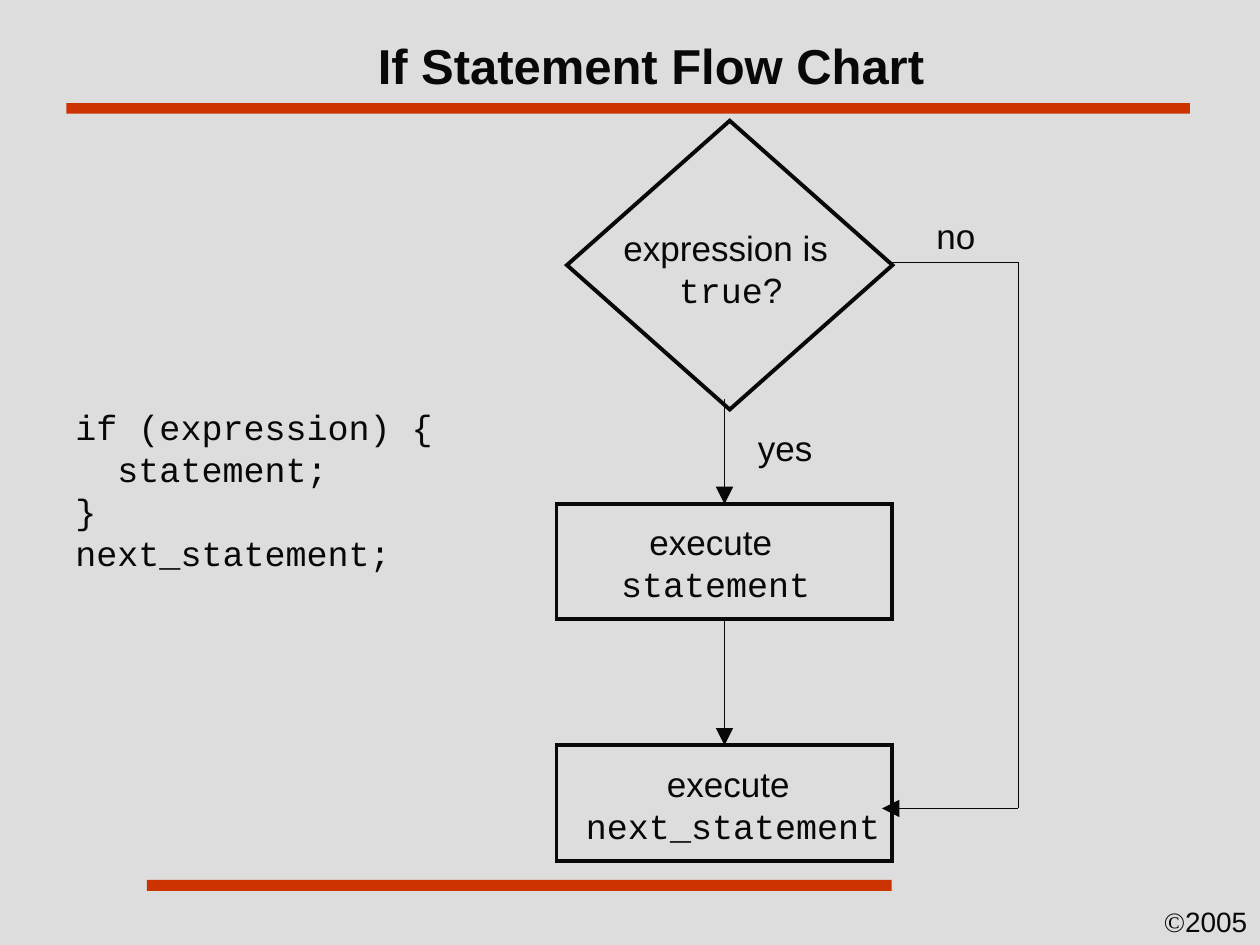
from lxml import etree
from pptx import Presentation
from pptx.dml.color import RGBColor
from pptx.enum import shapes, text
from pptx.oxml import ns
from pptx.util import Pt

INK = RGBColor(0x08, 0x08, 0x08)
RED = RGBColor(0xCC, 0x33, 0x00)
GREY = RGBColor(0xDD, 0xDD, 0xDD)
SANS, MONO = "Arial", "Courier New"
LEFT, MID = text.PP_ALIGN.LEFT, text.PP_ALIGN.CENTER


def style(run, face, size, bold=False):
    font = run.font
    font.name, font.size, font.bold = face, Pt(size), bold
    font.color.rgb = INK


def label(slide, box, lines, size=20, align=LEFT, wrap=True):
    frame = slide.shapes.add_textbox(*map(Pt, box)).text_frame
    frame.word_wrap = wrap
    for i, runs in enumerate(lines):
        para = frame.add_paragraph() if i else frame.paragraphs[0]
        para.alignment = align
        for words, face in runs:
            run = para.add_run()
            run.text = words
            style(run, face, size)


def block(slide, kind, box, fill=None):
    shape = slide.shapes.add_shape(kind, *map(Pt, box))
    shape.shadow.inherit = False
    if fill is not None:
        shape.fill.solid()
        shape.fill.fore_color.rgb = fill
        shape.line.fill.background()
    else:
        shape.fill.background()
        shape.line.color.rgb = INK
        shape.line.width = Pt(2.25)
        join = etree.SubElement(shape.line._get_or_add_ln(), ns.qn("a:miter"))
        join.set("lim", "800000")


def link(slide, start, end, width=1, arrow=False):
    line = slide.shapes.add_connector(
        shapes.MSO_CONNECTOR.STRAIGHT, *map(Pt, (*start, *end)))
    line.line.color.rgb = INK
    line.line.width = Pt(width)
    if arrow:
        tail = etree.SubElement(line.line._get_or_add_ln(), ns.qn("a:tailEnd"))
        for key, val in (("type", "triangle"), ("w", "lg"), ("len", "lg")):
            tail.set(key, val)
    etree.SubElement(line._element.spPr, ns.qn("a:effectLst"))


def header(slide, box):
    x, y, w, h = box
    title = slide.shapes.title
    title.left, title.top, title.width, title.height = map(Pt, (x + 13, y, w, h))
    frame = title.text_frame
    frame.text = "If Statement Flow Chart"
    frame.auto_size = text.MSO_AUTO_SIZE.NONE
    frame.vertical_anchor = text.MSO_ANCHOR.MIDDLE
    frame.paragraphs[0].alignment = MID
    style(frame.paragraphs[0].runs[0], SANS, 28, True)
    block(slide, shapes.MSO_SHAPE.RECTANGLE, (x, y + 42.5, w, 6), RED)


def footer(slide, box):
    x, y, w, h = box
    label(slide, (x + w - 62, y + h - 26.5, 62, 26.5),
          [[("©", "Times New Roman"), ("2005", SANS)]], 16, wrap=False)
    block(slide, shapes.MSO_SHAPE.RECTANGLE, (x, y, 425.5, 6.3), RED)


def chart(slide, box):
    x, y, w, h = box
    wide, tall = 192, 66
    mid, side, edge = x + wide / 2, x + wide, x + w
    first, last = y + 219, y + h - tall
    block(slide, shapes.MSO_SHAPE.DIAMOND, (x + 6, y, 186, 165))
    for top in (first, last):
        block(slide, shapes.MSO_SHAPE.RECTANGLE, (x, top, wide, tall))
    for spot, lines in (
        ((x + 31, y + 57, 137, 55),
         [[("expression is ", SANS)], [("true", MONO), ("?", SANS)]]),
        ((x + 25, first + 6, 132, 55),
         [[("execute ", SANS)], [("statement", MONO)]]),
        ((x + 7.5, last + 6, 187, 55),
         [[("execute ", SANS)], [("next_statement", MONO)]]),
    ):
        label(slide, spot, lines, align=MID, wrap=False)
    link(slide, (mid, y + 159), (mid, first), arrow=True)
    link(slide, (mid, first + tall), (mid, last), arrow=True)
    high, low = y + 81, last + 36
    link(slide, (side, high), (edge, high))
    link(slide, (edge, high), (edge, low), 0.75)
    link(slide, (edge, low), (side - 6, low), 0.75, True)
    label(slide, (x + 108, y + 171, 60, 32), [[("yes", SANS)]])
    label(slide, (x + 210, y + 50, 42, 32), [[("no", SANS)]])


def code(slide, box):
    rows = ("if (expression) {", "  statement;", "}", "next_statement;")
    label(slide, box, [[(row, MONO)] for row in rows])


def main():
    deck = Presentation()
    deck.slide_width, deck.slide_height = Pt(720), Pt(540)
    slide = deck.slides.add_slide(deck.slide_layouts[5])
    slide.background.fill.solid()
    slide.background.fill.fore_color.rgb = GREY
    footer(slide, (84, 502.8, 636, 37.2))
    header(slide, (38, 16.5, 642, 41))
    chart(slide, (318, 69, 264, 423))
    code(slide, (36, 228, 240, 104))
    deck.save("out.pptx")


if __name__ == "__main__":
    main()
